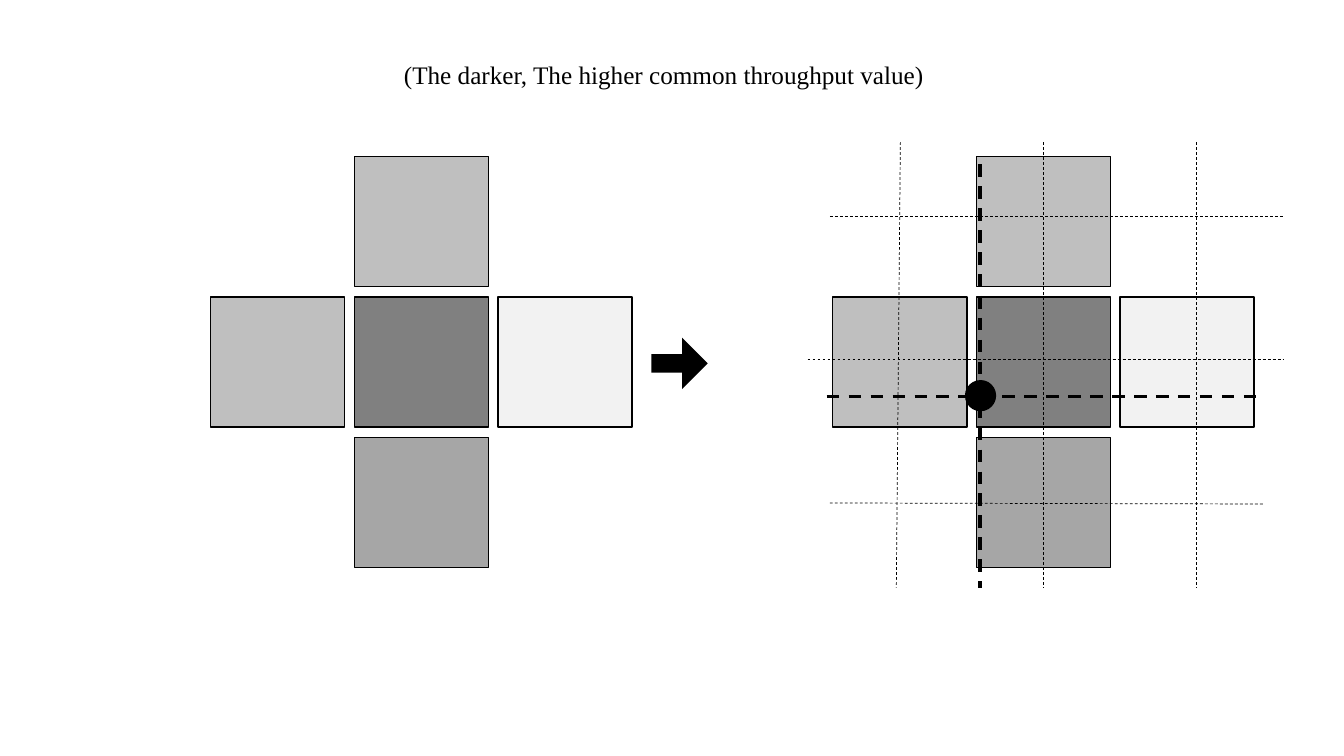
from pptx import Presentation
from pptx.dml.color import RGBColor as Rgb
from pptx.enum.dml import MSO_LINE as Dash
from pptx.enum.shapes import MSO_CONNECTOR as Conn, MSO_SHAPE as Geo
from pptx.enum.text import MSO_ANCHOR as Anchor, MSO_AUTO_SIZE as Fit, PP_ALIGN as Align
from pptx.oxml.ns import qn
from pptx.util import Inches, Pt
from lxml.etree import SubElement

HUES = {"ink": "000000", "dark": "808080", "mid": "A6A6A6",
        "soft": "BFBFBF", "pale": "F2F2F2"}
# column, row and shade of each cell in the cross
CELLS = [(1, 0, "soft"), (0, 1, "soft"), (1, 1, "dark"),
         (2, 1, "pale"), (1, 2, "mid")]
WIDE, HIGH = 1.33, 1.29
STEP_X, STEP_Y = 1.425, 1.395
TOP = 1.55
LEFTS = [2.09, 8.26]
GRID = [(8.01, 3.57, 12.74, 3.57), (8.23, 2.15, 12.74, 2.15),
        (8.93, 1.41, 8.89, 5.83), (10.35, 1.41, 10.35, 5.83),
        (11.87, 1.41, 11.87, 5.83), (8.23, 4.99, 12.54, 5)]
AXES = [(8.2, 3.93, 12.54, 3.93), (9.72, 1.63, 9.72, 5.83)]


class Board:
    def __init__(self, slide, font="Times New Roman"):
        self.slide = slide
        self.font = font

    def hue(self, name):
        return Rgb.from_string(HUES[name])

    def title(self, text, box, size):
        head = self.slide.shapes.title
        head.left, head.top, head.width, head.height = map(Inches, box)
        frame = head.text_frame
        frame.auto_size = Fit.NONE
        frame.word_wrap = False
        frame.vertical_anchor = Anchor.MIDDLE
        para = frame.paragraphs[0]
        para.alignment = Align.CENTER
        run = para.add_run()
        run.text = text
        run.font.name = self.font
        run.font.size = Pt(size)
        run.font.color.rgb = self.hue("ink")

    def shape(self, kind, box, fill, edge=0):
        item = self.slide.shapes.add_shape(kind, *map(Inches, box))
        item.shadow.inherit = False
        item.fill.solid()
        item.fill.fore_color.rgb = self.hue(fill)
        if edge:
            item.line.color.rgb = self.hue("ink")
            item.line.width = Pt(edge)
        else:
            item.line.fill.background()
        return item

    def cross(self, left):
        for col, row, shade in CELLS:
            box = (left + col * STEP_X, TOP + row * STEP_Y, WIDE, HIGH)
            self.shape(Geo.RECTANGLE, box, shade, edge=1)

    def dashes(self, ends, width):
        item = self.slide.shapes.add_connector(Conn.STRAIGHT, *map(Inches, ends))
        item.line.color.rgb = self.hue("ink")
        item.line.width = Pt(width)
        item.line.dash_style = Dash.DASH
        SubElement(item._element.spPr, qn("a:effectLst"))


def main():
    deck = Presentation()
    deck.slide_width, deck.slide_height = Inches(13.33), Inches(7.5)
    board = Board(deck.slides.add_slide(deck.slide_layouts.get_by_name("Title Only")))

    for left in LEFTS:
        board.cross(left)
    arrow = board.shape(Geo.RIGHT_ARROW, (6.46, 3.35, 0.56, 0.51), "ink")
    arrow.adjustments[0] = 0.36
    board.title("(The darker, The higher common throughput value)",
                (3.88, 0.54, 5.41, 0.4), 18)
    board.shape(Geo.OVAL, (9.57, 3.77, 0.31, 0.31), "ink")
    for ends in GRID:
        board.dashes(ends, 0.5)
    for ends in AXES:
        board.dashes(ends, 2.25)

    deck.save("out.pptx")


if __name__ == "__main__":
    main()
